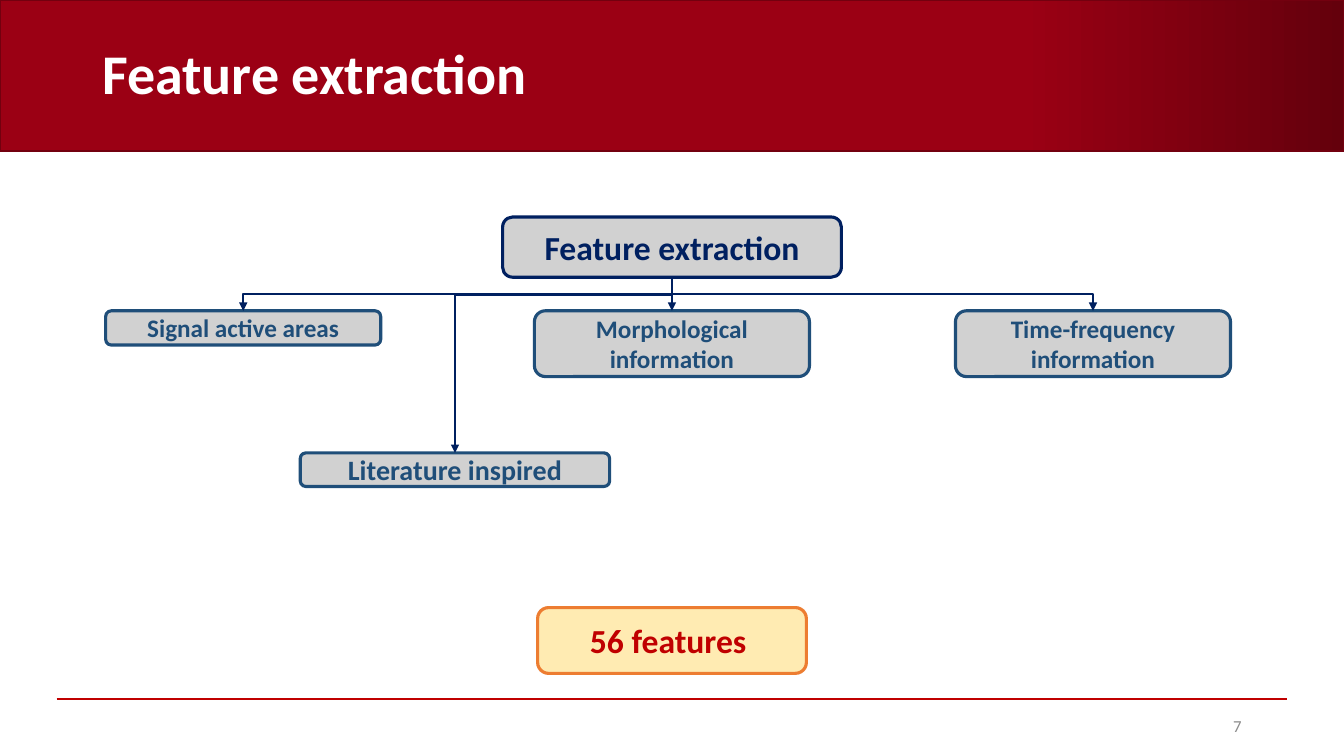
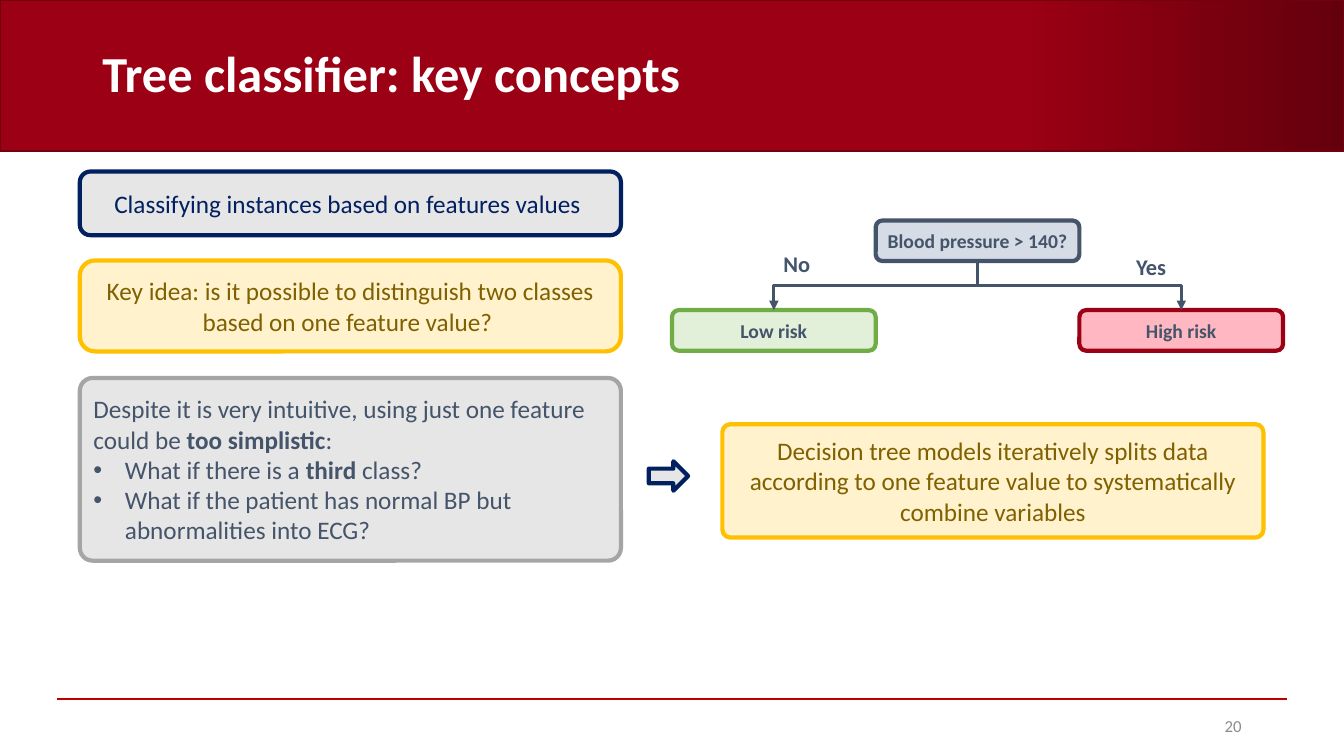
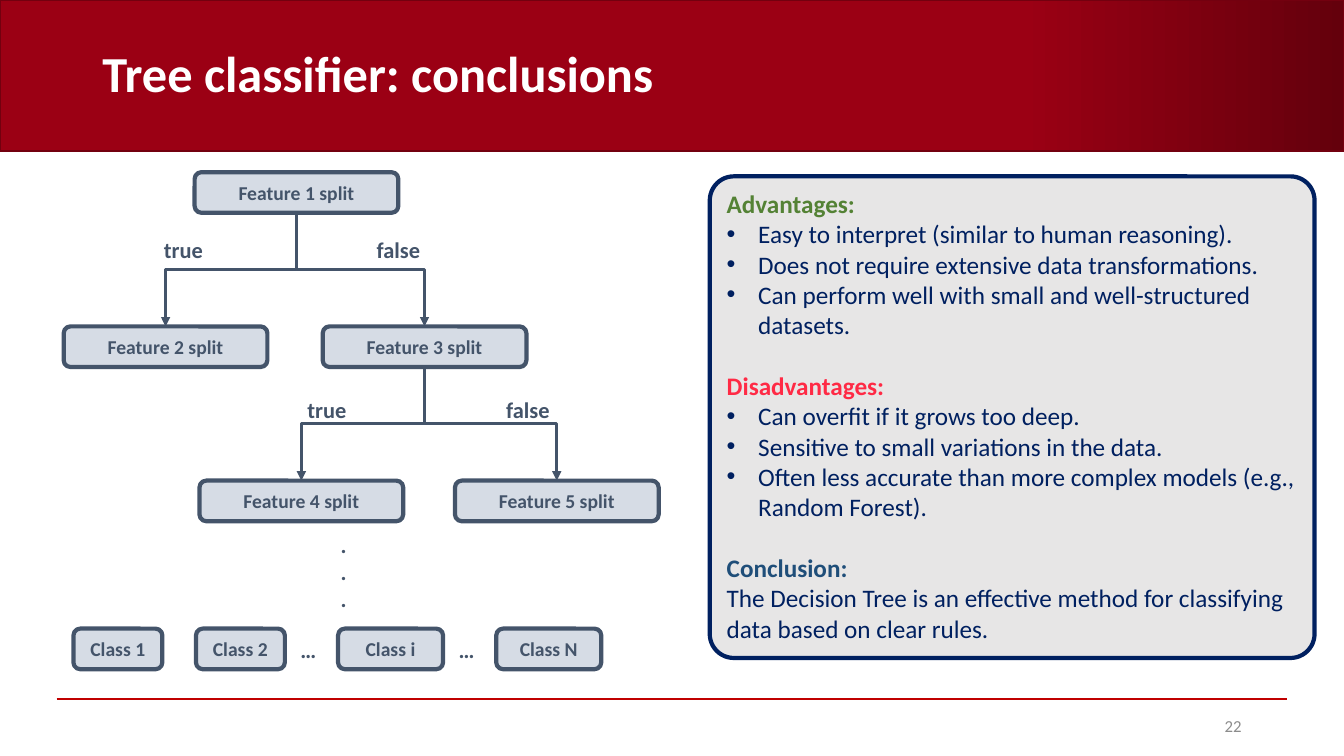
"""Builds three slides on feature extraction and tree classifiers."""
from dataclasses import dataclass
from typing import NamedTuple

from lxml import etree
from pptx import Presentation
from pptx.dml.color import RGBColor
from pptx.enum.shapes import MSO_CONNECTOR, MSO_SHAPE
from pptx.enum.text import MSO_ANCHOR, PP_ALIGN
from pptx.oxml.ns import qn
from pptx.util import Pt

LEFT, CENTER, RIGHT = PP_ALIGN.LEFT, PP_ALIGN.CENTER, PP_ALIGN.RIGHT
TOP, MIDDLE = MSO_ANCHOR.TOP, MSO_ANCHOR.MIDDLE
STRAIGHT, ELBOW = MSO_CONNECTOR.STRAIGHT, MSO_CONNECTOR.ELBOW
RECTANGLE, ROUNDED = MSO_SHAPE.RECTANGLE, MSO_SHAPE.ROUNDED_RECTANGLE
RIGHT_ARROW = MSO_SHAPE.RIGHT_ARROW
BOTTOM_SITE, TOP_SITE = 2, 0


@dataclass(frozen=True)
class Theme:
    """Colours, type sizes and line weights of the deck."""

    font: str = "Calibri"
    white: str = "FFFFFF"
    crimson: str = "9B0014"
    maroon: str = "64000C"
    band_edge: str = "73000F"
    red: str = "C00000"
    bright_red: str = "FF2A45"
    pink: str = "FFB8C1"
    navy: str = "002060"
    blue: str = "1F4E79"
    slate: str = "44546A"
    pale_slate: str = "D6DCE5"
    gray: str = "A5A5A5"
    pale_gray: str = "E7E6E6"
    number_gray: str = "8C8C8C"
    orange: str = "ED7D31"
    sand: str = "FFD966"
    gold: str = "FFC000"
    pale_gold: str = "FFF2CC"
    olive: str = "806000"
    green: str = "70AD47"
    pale_green: str = "E2F0D9"
    dark_green: str = "548235"
    large_title: int = 40
    title: int = 36
    heading: int = 24
    subheading: int = 20
    body: int = 18
    label: int = 16
    node: int = 14
    number: int = 12
    thin: float = 1.5
    medium: float = 2.25
    thick: float = 3


THEME = Theme()


class Box(NamedTuple):
    """A rectangle in points."""

    left: float
    top: float
    width: float
    height: float

    def inner(self, left, top, width, height):
        """Return a box placed relative to this one."""
        return Box(self.left + left, self.top + top, width, height)

    def lengths(self):
        """Return the four sides as lengths."""
        return [Pt(value) for value in self]


class Span(NamedTuple):
    """A run of text, with its own weight and colour where given."""

    text: str
    bold: bool | None = None
    color: str | None = None


class Line(NamedTuple):
    """A paragraph made of spans."""

    spans: list
    bullet: bool = False
    gap: float = 0


class Style(NamedTuple):
    """Text settings of a box."""

    size: int
    color: str
    bold: bool = False
    align: PP_ALIGN = CENTER
    anchor: MSO_ANCHOR = MIDDLE
    spacing: float = 1.0


class Paint(NamedTuple):
    """Fill and outline of a box."""

    fill: str
    line: str
    weight: float = THEME.thick
    alpha: int = 100


NODE_STYLE = Style(THEME.node, THEME.slate, True)
NODE_PAINT = Paint(THEME.pale_slate, THEME.slate)
NODE_WIDTH, NODE_HEIGHT = 145.5, 29


def rgb(color):
    """Turn a hex string into a colour."""
    return RGBColor.from_string(color)


def plain(text):
    """Return one paragraph holding one span."""
    return [Line([Span(text)])]


def write(shape, lines, style):
    """Fill a shape with paragraphs, run by run."""
    frame = shape.text_frame
    frame.word_wrap = True
    frame.vertical_anchor = style.anchor
    for index, line in enumerate(lines):
        para = frame.add_paragraph() if index else frame.paragraphs[0]
        if line.bullet:
            props = para._p.get_or_add_pPr()
            props.set("marL", str(Pt(22.5)))
            props.set("indent", str(-Pt(22.5)))
            etree.SubElement(props, qn("a:buFont")).set("typeface", "Arial")
            etree.SubElement(props, qn("a:buChar")).set("char", "•")
        para.alignment = style.align
        para.line_spacing = style.spacing
        if line.gap:
            para.space_before = Pt(line.gap)
        for span in line.spans:
            run = para.add_run()
            run.text = span.text
            run.font.name = THEME.font
            run.font.size = Pt(style.size)
            run.font.bold = style.bold if span.bold is None else span.bold
            run.font.color.rgb = rgb(span.color or style.color)


def add_text(page, box, lines, style):
    """Place a plain text box."""
    write(page.shapes.add_textbox(*box.lengths()), lines, style)


def add_block(page, box, paint, kind=ROUNDED, corner=None):
    """Place a filled and outlined shape."""
    shape = page.shapes.add_shape(kind, *box.lengths())
    shape.shadow.inherit = False
    shape.fill.solid()
    shape.fill.fore_color.rgb = rgb(paint.fill)
    if paint.alpha < 100:
        color = shape.element.spPr.find(f"{qn('a:solidFill')}/{qn('a:srgbClr')}")
        etree.SubElement(color, qn("a:alpha")).set("val", str(paint.alpha * 1000))
    shape.line.color.rgb = rgb(paint.line)
    shape.line.width = Pt(paint.weight)
    if corner is not None:
        shape.adjustments[0] = corner
    return shape


def add_card(page, box, lines, style, paint, corner=None):
    """Place a rounded box with text and return it."""
    card = add_block(page, box, paint, corner=corner)
    write(card, lines, style)
    return card


def add_node(page, box, text, paint=NODE_PAINT):
    """Place a small tree node and return it."""
    return add_card(page, box, plain(text), NODE_STYLE, paint)


def add_label(page, box, text):
    """Place a branch label."""
    add_text(page, box, plain(text),
             Style(THEME.label, THEME.slate, True, LEFT, TOP))


def finish_line(connector, color, weight, arrow=False):
    """Colour a connector, remove its shadow and add an arrowhead if asked."""
    connector.line.color.rgb = rgb(color)
    connector.line.width = Pt(weight)
    props = connector.element.spPr
    if arrow:
        etree.SubElement(props.find(qn("a:ln")), qn("a:tailEnd")).set("type", "triangle")
    etree.SubElement(props, qn("a:effectLst"))


def join(page, parent, child, color, weight, bend=0.5):
    """Draw an arrow from the bottom of one shape to the top of another."""
    start = parent.left + parent.width // 2
    end = child.left + child.width // 2
    top = parent.top + parent.height
    drop, across = child.top - top, abs(end - start)
    straight = across < Pt(1)
    connector = page.shapes.add_connector(STRAIGHT if straight else ELBOW,
                                          start, top, end, child.top)
    connector.begin_connect(parent, BOTTOM_SITE)
    connector.end_connect(child, TOP_SITE)
    if not straight:
        connector.left = (start + end - drop) // 2
        connector.top = top + (drop - across) // 2
        connector.width, connector.height = drop, across
        props = connector.element.spPr
        frame = props.find(qn("a:xfrm"))
        rightward = end > start
        frame.set("rot", "16200000" if rightward else "5400000")
        frame.set("flipH", "1" if rightward else "0")
        frame.set("flipV", "0")
        shape = props.find(qn("a:prstGeom"))
        guides = shape.find(qn("a:avLst"))
        if guides is None:
            guides = etree.SubElement(shape, qn("a:avLst"))
        guide = etree.SubElement(guides, qn("a:gd"))
        guide.set("name", "adj1")
        guide.set("fmla", f"val {round(bend * 100000)}")
    finish_line(connector, color, weight, True)


def add_page(deck, title, number, size=THEME.title):
    """Add a slide with the band, title, footer rule and number."""
    page = deck.slides.add_slide(deck.slide_layouts[6])
    band = add_block(page, Box(0, 0, 960, 108),
                     Paint(THEME.crimson, THEME.band_edge, 1), RECTANGLE)
    band.fill.gradient()
    band.fill.gradient_angle = 0
    stops = zip(band.fill.gradient_stops, (0.76, 1), (THEME.crimson, THEME.maroon))
    for stop, position, color in stops:
        stop.position = position
        stop.color.rgb = rgb(color)
    rule = page.shapes.add_connector(STRAIGHT, Pt(40.5), Pt(499.5), Pt(919.5), Pt(499.5))
    finish_line(rule, THEME.red, THEME.thin)
    add_text(page, Box(66, 16.5, 780, 76.5), plain(title),
             Style(size, THEME.white, True, LEFT, spacing=0.9))
    add_text(page, Box(678, 504, 216, 29), plain(number),
             Style(THEME.number, THEME.number_gray, align=RIGHT))
    return page


def feature_groups(page, area):
    """Draw the root box and the feature groups below it."""
    def group(box, text, size, color, weight=THEME.medium):
        """Place one translucent gray box."""
        return add_card(page, box, plain(text), Style(size, color, True),
                        Paint(THEME.gray, color, weight, 50))

    root = group(area.inner(283.5, 0, 242, 43), "Feature extraction",
                 THEME.heading, THEME.navy)
    groups = [
        (0, 67, 196.5, 24.5, "Signal active areas", THEME.body, 0.5),
        (306.25, 67, 196.5, 47, "Morphological information", THEME.body, 0.5),
        (607, 67, 196.5, 47, "Time-frequency information", THEME.body, 0.5),
        (139, 168.5, 221, 24, "Literature inspired", THEME.subheading, 0.1),
    ]
    for left, top, width, height, text, size, bend in groups:
        child = group(area.inner(left, top, width, height), text, size, THEME.blue)
        join(page, root, child, THEME.navy, THEME.thin, bend)


def risk_tree(page, area):
    """Draw the one-question tree with its two outcomes."""
    root = add_node(page, area.inner(NODE_WIDTH, 0, NODE_WIDTH, NODE_HEIGHT),
                    "Blood pressure > 140?")
    outcomes = [
        (0, "Low risk", Paint(THEME.pale_green, THEME.green)),
        (2 * NODE_WIDTH, "High risk", Paint(THEME.pink, THEME.crimson)),
    ]
    for left, text, paint in outcomes:
        child = add_node(page, area.inner(left, 64, NODE_WIDTH, NODE_HEIGHT), text, paint)
        join(page, root, child, THEME.slate, THEME.medium)
    add_label(page, area.inner(72.5, 17.5, 39, 26.5), "No")
    add_label(page, area.inner(324.5, 19.5, 39, 26.5), "Yes")


def key_ideas(page, area):
    """Stack the three statement boxes."""
    gold = Paint(THEME.pale_gold, THEME.gold)
    doubts = [
        Line([Span("Despite it is very intuitive, using just one feature could be "),
              Span("too simplistic", True), Span(":")]),
        Line([Span("What if there is a "), Span("third", True), Span(" class?")], True),
        Line([Span("What if the patient has normal BP but abnormalities into ECG?")], True),
    ]
    add_card(page, area.inner(0, 0, area.width, 45.5),
             plain("Classifying instances based on features values "),
             Style(THEME.body, THEME.navy), Paint(THEME.pale_gray, THEME.navy))
    add_card(page, area.inner(0, 63.5, area.width, 65),
             plain("Key idea: is it possible to distinguish two classes "
                   "based on one feature value? "),
             Style(THEME.body, THEME.olive), gold)
    add_card(page, area.inner(0, 147.5, area.width, 130.5), doubts,
             Style(THEME.body, THEME.slate, align=LEFT),
             Paint(THEME.pale_gray, THEME.gray), 0.07)
    add_block(page, area.inner(406.5, 207, 28, 21),
              Paint(THEME.pale_gray, THEME.navy), RIGHT_ARROW)
    add_card(page, area.inner(459, 180.5, area.width, 81),
             plain("Decision tree models iteratively splits data according to one "
                   "feature value to systematically combine variables"),
             Style(THEME.body, THEME.olive), gold, 0.07)


def split_tree(page, area):
    """Draw the split nodes, their branch labels and the class row."""
    row_pitch = 110.15
    places = [(93.5, 0), (0, 1), (185, 1), (97, 2), (279.5, 2)]
    nodes = [add_node(page, area.inner(left, row * row_pitch, NODE_WIDTH, NODE_HEIGHT),
                      f"Feature {index} split")
             for index, (left, row) in enumerate(places, 1)]
    for parent, child in ((0, 1), (0, 2), (2, 3), (2, 4)):
        join(page, nodes[parent], nodes[child], THEME.slate, THEME.medium)
    labels = [(64.5, 42, "true"), (216.5, 42, "false"),
              (167, 156.5, "true"), (309, 156.5, "false")]
    for left, top, text in labels:
        add_label(page, area.inner(left, top, 58, 26.5), text)
    add_text(page, area.inner(175, 253, 50, 65.5), plain(".") * 3,
             Style(THEME.label, THEME.slate, True, CENTER, TOP))
    classes = [(7, 63.5, "1"), (94.5, 63.5, "2"), (196, 75, "i"), (309, 75, "N")]
    for left, width, name in classes:
        add_node(page, area.inner(left, 326, width, NODE_HEIGHT), f"Class {name}")
    for left in (162, 275):
        add_label(page, area.inner(left, 327.5, 19, 26.5), "…")


def verdict_panel(page, area):
    """Write the advantages, disadvantages and conclusion."""
    sections = [
        ("Advantages:", THEME.dark_green, True,
         ["Easy to interpret (similar to human reasoning).",
          "Does not require extensive data transformations.",
          "Can perform well with small and well-structured datasets."]),
        ("Disadvantages:", THEME.bright_red, True,
         ["Can overfit if it grows too deep.",
          "Sensitive to small variations in the data.",
          "Often less accurate than more complex models (e.g., Random Forest)."]),
        ("Conclusion:", THEME.blue, False,
         ["The Decision Tree is an effective method for classifying data "
          "based on clear rules."]),
    ]
    lines = []
    for heading, color, bullet, points in sections:
        lines.append(Line([Span(heading, True, color)], gap=22 if lines else 0))
        lines.extend(Line([Span(point)], bullet) for point in points)
    add_card(page, area, lines, Style(THEME.body, THEME.navy, False, LEFT, TOP),
             Paint(THEME.pale_gray, THEME.navy), 0.05)


def extraction_slide(deck):
    """Build the feature extraction slide."""
    page = add_page(deck, "Feature extraction", "7", THEME.large_title)
    feature_groups(page, Box(75.5, 155, 804, 193))
    add_card(page, Box(384, 434, 192, 47), plain("56 features "),
             Style(THEME.heading, THEME.red, True),
             Paint(THEME.sand, THEME.orange, THEME.medium, 50))


def concepts_slide(deck):
    """Build the key concepts slide."""
    page = add_page(deck, "Tree classifier: key concepts", "20")
    key_ideas(page, Box(57, 122.5, 386.5, 278))
    risk_tree(page, Box(480, 157.5, 436.5, 93))


def conclusions_slide(deck):
    """Build the conclusions slide."""
    page = add_page(deck, "Tree classifier: conclusions", "22")
    split_tree(page, Box(45.5, 123, 425, 355))
    verdict_panel(page, Box(507, 126, 432, 344))


def main():
    """Build and save the deck."""
    deck = Presentation()
    deck.slide_width, deck.slide_height = Pt(960), Pt(540)
    extraction_slide(deck)
    concepts_slide(deck)
    conclusions_slide(deck)
    deck.save("out.pptx")


if __name__ == "__main__":
    main()
